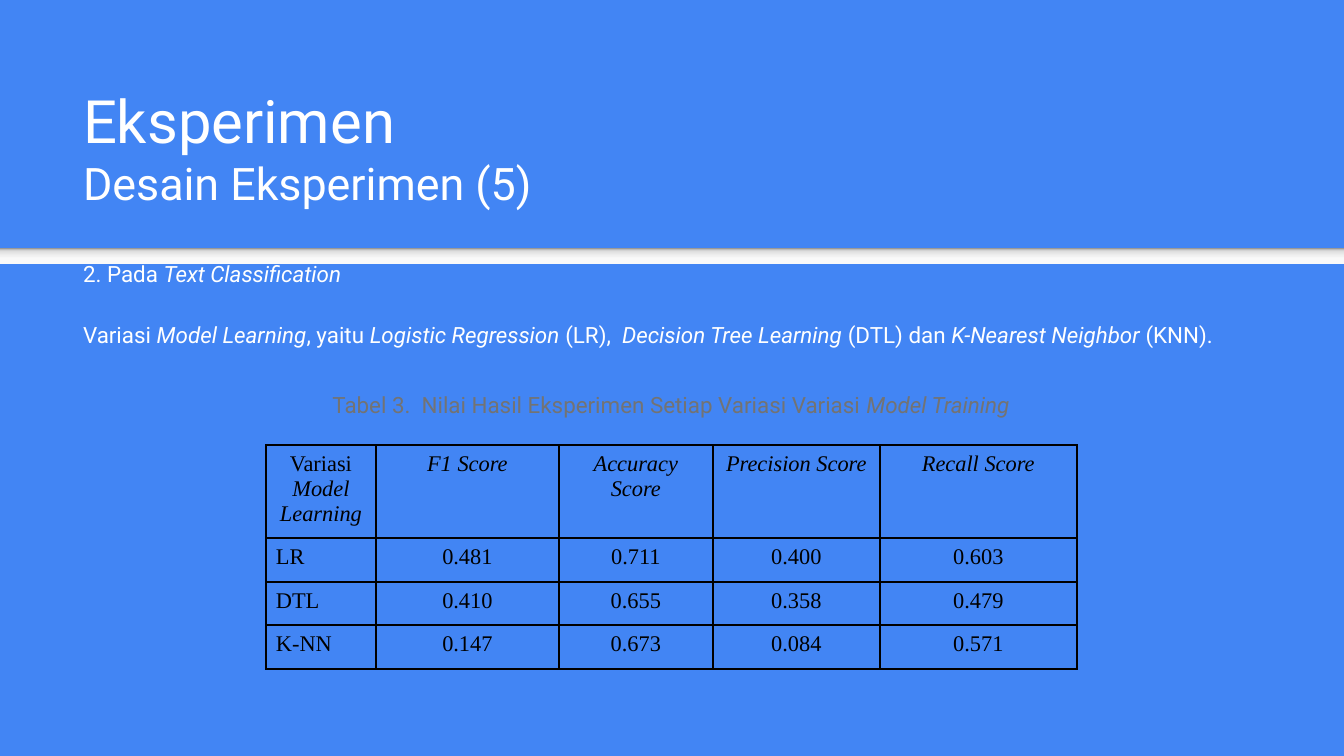
from dataclasses import dataclass

from lxml import etree
from pptx import Presentation
from pptx.dml.color import RGBColor
from pptx.enum.shapes import MSO_SHAPE
from pptx.enum.text import MSO_ANCHOR, MSO_AUTO_SIZE, PP_ALIGN
from pptx.oxml.ns import qn
from pptx.util import Pt

RECTANGLE = MSO_SHAPE.RECTANGLE
TOP, BOTTOM = MSO_ANCHOR.TOP, MSO_ANCHOR.BOTTOM
NO_FIT = MSO_AUTO_SIZE.NONE
LEFT, CENTER, JUSTIFY = PP_ALIGN.LEFT, PP_ALIGN.CENTER, PP_ALIGN.JUSTIFY
SCALE = 914400 / 134.4  # EMU in one pixel


@dataclass(frozen=True)
class Theme:
    background: str = "4285F4"
    light: str = "FFFFFF"
    muted: str = "737373"
    ink: str = "000000"
    band: tuple = ((0, "F9F9F9"), (36, "F9F9F9"), (80, "DEDEDE"), (100, "999999"))
    font: str = "Roboto"
    table_font: str = "Times New Roman"
    title_size: int = 32
    subtitle_size: int = 24
    text_size: int = 12
    border: float = 0.96
    spacing: float = 1.15


THEME = Theme()


def px(length):
    return round(length * SCALE)


def place(shape, box):
    shape.left, shape.top, shape.width, shape.height = map(px, box)


def set_frame(frame, anchor=TOP):
    frame.word_wrap = True
    frame.auto_size = NO_FIT
    frame.vertical_anchor = anchor
    frame.margin_left = frame.margin_right = px(13)
    frame.margin_top = frame.margin_bottom = px(13)


def style(span, size, color, font=THEME.font, italic=False):
    span.font.size = Pt(size)
    span.font.name = font
    span.font.italic = italic
    span.font.color.rgb = RGBColor.from_string(color)


def write(para, parts, color, font=THEME.font, align=LEFT):
    """Fill a paragraph with (text, italic) parts."""
    para.alignment = align
    for text, italic in parts:
        span = para.add_run()
        span.text = text
        style(span, THEME.text_size, color, font, italic)


def add_band(page, box):
    band = page.shapes.add_shape(RECTANGLE, *map(px, box))
    band.shadow.inherit = False
    band.line.fill.background()
    band.fill.gradient()
    band.fill.gradient_angle = 90
    stops = band.element.spPr.find(".//" + qn("a:gsLst"))
    for stop in list(stops):
        stops.remove(stop)
    for position, color in THEME.band:
        stop = etree.SubElement(stops, qn("a:gs"), pos=str(position * 1000))
        etree.SubElement(stop, qn("a:srgbClr"), val=color)


def fill_title(title, box, heading, subheading):
    place(title, box)
    set_frame(title.text_frame, BOTTOM)
    para = title.text_frame.paragraphs[0]
    para.text = f"{heading}\v{subheading}"
    para.alignment = LEFT
    for span, size in zip(para.runs, (THEME.title_size, THEME.subtitle_size)):
        style(span, size, THEME.light)
    # The line break takes the heading size
    line_break = title.element.find(".//" + qn("a:br"))
    etree.SubElement(line_break, qn("a:rPr"), sz=str(THEME.title_size * 100))


def fill_body(body, box, paragraphs):
    place(body, box)
    frame = body.text_frame
    set_frame(frame)
    for index, parts in enumerate(paragraphs):
        para = frame.add_paragraph() if index else frame.paragraphs[0]
        write(para, parts, THEME.light)
        para.line_spacing = THEME.spacing
        para.space_before = Pt(16 if index else 0)
        properties = para._p.get_or_add_pPr()
        properties.set("marL", "0")
        properties.set("indent", "0")
        etree.SubElement(properties, qn("a:buNone"))


def add_caption(page, box, parts):
    caption = page.shapes.add_textbox(*map(px, box))
    set_frame(caption.text_frame)
    para = caption.text_frame.paragraphs[0]
    write(para, parts, THEME.muted, align=CENTER)
    para.line_spacing = THEME.spacing


def add_borders(cell):
    properties = cell._tc.get_or_add_tcPr()
    for side in ("lnL", "lnR", "lnT", "lnB"):
        line = etree.SubElement(properties, qn("a:" + side), w=str(Pt(THEME.border)))
        fill = etree.SubElement(line, qn("a:solidFill"))
        etree.SubElement(fill, qn("a:srgbClr"), val=THEME.ink)


def add_score_table(page, box, widths, heights, header, scores):
    rows = [header] + [[[(text, False)] for text in row] for row in scores]
    table = page.shapes.add_table(len(rows), len(widths), *map(px, box)).table
    table.first_row = table.horz_banding = False
    for column, width in zip(table.columns, widths):
        column.width = px(width)
    for row, height in zip(table.rows, heights):
        row.height = px(height)
    for row_index, row in enumerate(rows):
        for column_index, parts in enumerate(row):
            cell = table.cell(row_index, column_index)
            add_borders(cell)
            cell.fill.background()
            cell.margin_left = cell.margin_right = px(10)
            cell.margin_top = cell.margin_bottom = px(7)
            align = JUSTIFY if row_index and not column_index else CENTER
            write(cell.text_frame.paragraphs[0], parts, THEME.ink, THEME.table_font, align)


def build_experiment_page(deck):
    page = deck.slides.add_slide(deck.slide_layouts[1])
    page.background.fill.solid()
    page.background.fill.fore_color.rgb = RGBColor.from_string(THEME.background)
    title, body = page.placeholders

    # Band behind the text
    add_band(page, (0, 248, 1344, 16))
    tree = page.shapes.element
    tree.insert(tree.index(title.element), page.shapes[-1].element)

    # Title and introduction
    fill_title(title, (70, 109, 1208, 113), "Eksperimen", "Desain Eksperimen (5)")
    fill_body(body, (70, 243, 1208, 113), [
        [("2. Pada ", False), ("Text Classification", True)],
        [("Variasi ", False), ("Model Learning", True), (", yaitu ", False),
         ("Logistic Regression", True), (" (LR),  ", False),
         ("Decision Tree Learning ", True), ("(DTL) dan ", False),
         ("K-Nearest Neighbor ", True), ("(KNN).", False)],
    ])

    # Score table with its caption
    add_caption(page, (317, 374, 708, 55), [
        ("Tabel 3.  Nilai Hasil Eksperimen Setiap Variasi Variasi ", False),
        ("Model Training", True)])
    measures = ("F1 Score", "Accuracy Score", "Precision Score", "Recall Score")
    header = [[("Variasi ", False), ("Model Learning", True)]]
    header += [[(measure, True)] for measure in measures]
    add_score_table(
        page, (266, 445, 811, 224), (110, 183, 154, 167, 197), (93, 44, 43, 44), header,
        [("LR", "0.481", "0.711", "0.400", "0.603"),
         ("DTL", "0.410", "0.655", "0.358", "0.479"),
         ("K-NN", "0.147", "0.673", "0.084", "0.571")])


deck = Presentation()
deck.slide_width, deck.slide_height = px(1344), px(756)
build_experiment_page(deck)
deck.save("out.pptx")
